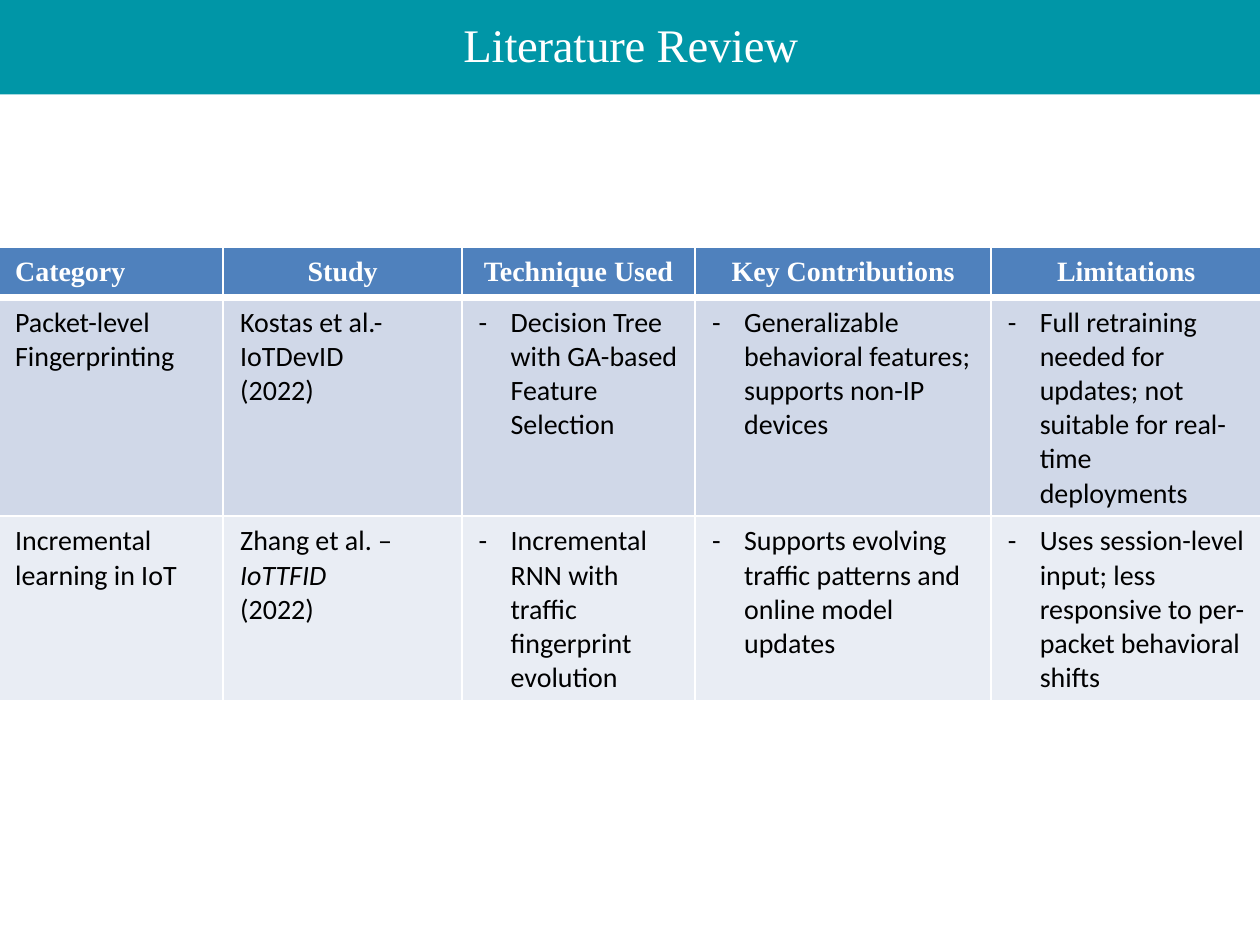
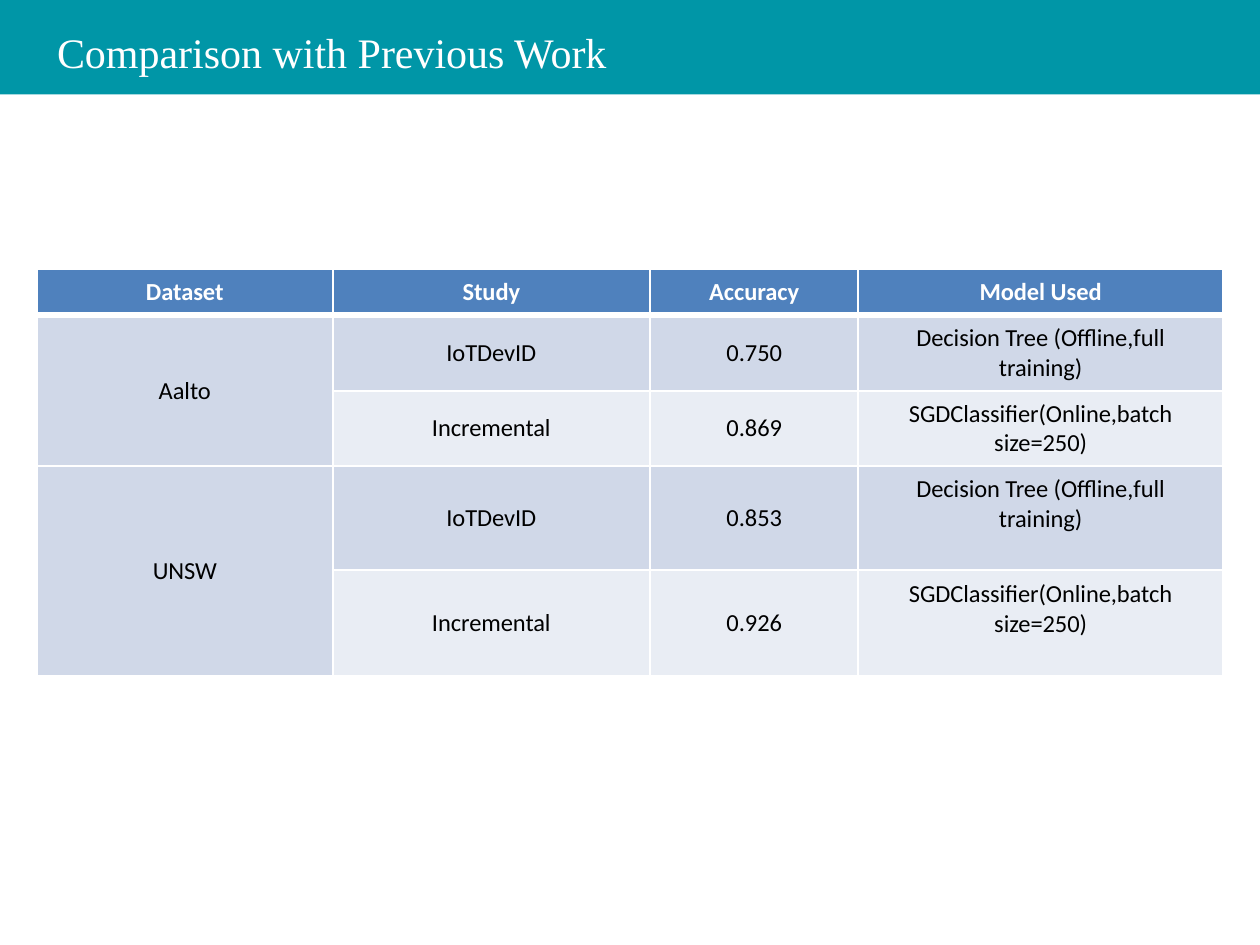
"""Builds two slides, each with a title band and a banded table."""
from lxml import etree
from pptx import Presentation
from pptx.dml.color import RGBColor
from pptx.enum.shapes import MSO_SHAPE
from pptx.enum.text import MSO_ANCHOR, PP_ALIGN
from pptx.oxml.ns import qn
from pptx.util import Inches, Pt

RECTANGLE = MSO_SHAPE.RECTANGLE
LEFT, CENTER = PP_ALIGN.LEFT, PP_ALIGN.CENTER
TOP, MIDDLE = MSO_ANCHOR.TOP, MSO_ANCHOR.MIDDLE
WIDTH = 7.5
HEIGHT = WIDTH * 3 / 4
BAND_HEIGHT = HEIGHT / 10
TITLE_LEFT = 0.33
TEAL, BLUE, WHITE, BLACK = "0096A7", "4F81BD", "FFFFFF", "000000"
BANDS = ["E9EDF4", "D0D8E8"]
SERIF, SANS = "Times New Roman", "Calibri"
TREE, CLASSIFIER = "Decision Tree (Offline,full training)", "SGDClassifier(Online,batch size=250)"

SLIDES = [
    {
        "title": "Literature Review", "title_size": 20, "title_align": CENTER,
        "title_top": 0.08, "title_spacing": -10,
        "left": -0.01, "top": 1.47, "size": 12, "header_font": SERIF,
        "columns": [1.34, 1.42, 1.39, 1.76, 1.61], "heights": [0.29, 1.3, 1.09],
        "header_aligns": [LEFT] + [CENTER] * 4, "body_align": LEFT, "body_anchor": TOP,
        "bulleted": [2, 3, 4], "merges": [], "raised": [],
        "rows": [
            ["Category", "Study", "Technique Used", "Key Contributions", "Limitations"],
            ["Packet-level Fingerprinting", "Kostas et al.-\nIoTDevID\n(2022)",
             "Decision Tree with GA-based Feature Selection",
             "Generalizable behavioral features; supports non-IP devices",
             "Full retraining needed for updates; not suitable for real-time deployments"],
            ["Incremental learning in IoT", "Zhang et al. – *IoTTFID*\n(2022)",
             "Incremental RNN with traffic fingerprint evolution",
             "Supports evolving traffic patterns and online model updates",
             "Uses session-level input; less responsive to per-packet behavioral shifts"],
        ],
    },
    {
        "title": "Comparison with Previous Work", "title_size": 18, "title_align": LEFT,
        "title_top": 0.14, "title_spacing": 0,
        "left": 0.22, "top": 1.6, "size": 10.5, "header_font": SANS,
        "columns": [1.76, 1.89, 1.24, 2.17], "heights": [0.27, 0.45, 0.45, 0.62, 0.63],
        "header_aligns": [CENTER] * 4, "body_align": CENTER, "body_anchor": MIDDLE,
        "bulleted": [], "merges": [1, 3], "raised": [(3, 3), (4, 3)],
        "rows": [
            ["Dataset", "Study", "Accuracy", "Model Used"],
            ["Aalto", "IoTDevID", "0.750", TREE],
            ["", "Incremental", "0.869", CLASSIFIER],
            ["UNSW", "IoTDevID", "0.853", TREE],
            ["", "Incremental", "0.926", CLASSIFIER],
        ],
    },
]


def color(value):
    return RGBColor.from_string(value)


def add_border(cell, side, points):
    line = etree.SubElement(cell._tc.get_or_add_tcPr(), qn("a:" + side), w=str(Pt(points)))
    fill = etree.SubElement(line, qn("a:solidFill"))
    etree.SubElement(fill, qn("a:srgbClr"), val=WHITE)


deck = Presentation()
deck.slide_width, deck.slide_height = Inches(WIDTH), Inches(HEIGHT)

for content in SLIDES:
    page = deck.slides.add_slide(deck.slide_layouts[6])
    band = page.shapes.add_shape(RECTANGLE, 0, 0, deck.slide_width, Inches(BAND_HEIGHT))
    band.shadow.inherit = False
    band.fill.solid()
    band.fill.fore_color.rgb = color(TEAL)
    band.line.fill.background()

    box = page.shapes.add_textbox(Inches(TITLE_LEFT), Inches(content["title_top"]),
                                  Inches(WIDTH - 2 * TITLE_LEFT), Inches(0.33))
    frame = box.text_frame
    frame.word_wrap = True
    frame.margin_left = frame.margin_top = Inches(0.01)
    frame.margin_right = frame.margin_bottom = 0
    frame.text = content["title"]
    para = frame.paragraphs[0]
    para.alignment = content["title_align"]
    para.line_spacing, para.space_before = 1.02, Pt(0.8)
    span = para.runs[0]
    span.font.name, span.font.size = SERIF, Pt(content["title_size"])
    span.font.color.rgb = color(WHITE)
    span._r.get_or_add_rPr().set("spc", str(content["title_spacing"]))

    rows, columns, heights = content["rows"], content["columns"], content["heights"]
    table = page.shapes.add_table(len(rows), len(columns), Inches(content["left"]), Inches(content["top"]),
                                  Inches(sum(columns)), Inches(sum(heights))).table
    for column, width in zip(table.columns, columns):
        column.width = Inches(width)
    for row, height in zip(table.rows, heights):
        row.height = Inches(height)

    for row_index, texts in enumerate(rows):
        header = row_index == 0
        for column_index, text in enumerate(texts):
            cell = table.cell(row_index, column_index)
            for side in ("lnL", "lnR", "lnT", "lnB"):
                thick = (header and side == "lnB") or (row_index == 1 and side == "lnT")
                add_border(cell, side, 3 if thick else 1)
            cell.fill.solid()
            cell.fill.fore_color.rgb = color(BLUE if header else BANDS[row_index % 2])
            cell.vertical_anchor = MIDDLE if header else content["body_anchor"]
            if (row_index, column_index) in content["raised"]:
                cell.margin_bottom = Inches(0.22)
            cell.text_frame.text = text.replace("*", "")
            for para, line in zip(cell.text_frame.paragraphs, text.split("\n")):
                para.alignment = content["header_aligns"][column_index] if header else content["body_align"]
                pieces = line.split("*")
                para.text = pieces[0]
                for piece in filter(None, pieces[1:]):
                    span = para.add_run()
                    span.text = piece
                    span.font.italic = True
                for span in para.runs:
                    span.font.name = content["header_font"] if header else SANS
                    span.font.size = Pt(content["size"])
                    span.font.bold = header
                    span.font.color.rgb = color(WHITE if header else BLACK)
                if not header and column_index in content["bulleted"]:
                    properties = para._p.get_or_add_pPr()
                    properties.set("marL", str(Inches(0.19)))
                    properties.set("indent", str(-Inches(0.19)))
                    etree.SubElement(properties, qn("a:buFont"), typeface=SANS)
                    etree.SubElement(properties, qn("a:buChar"), char="-")

    for first_row in content["merges"]:
        table.cell(first_row, 0).merge(table.cell(first_row + 1, 0))

deck.save("out.pptx")
